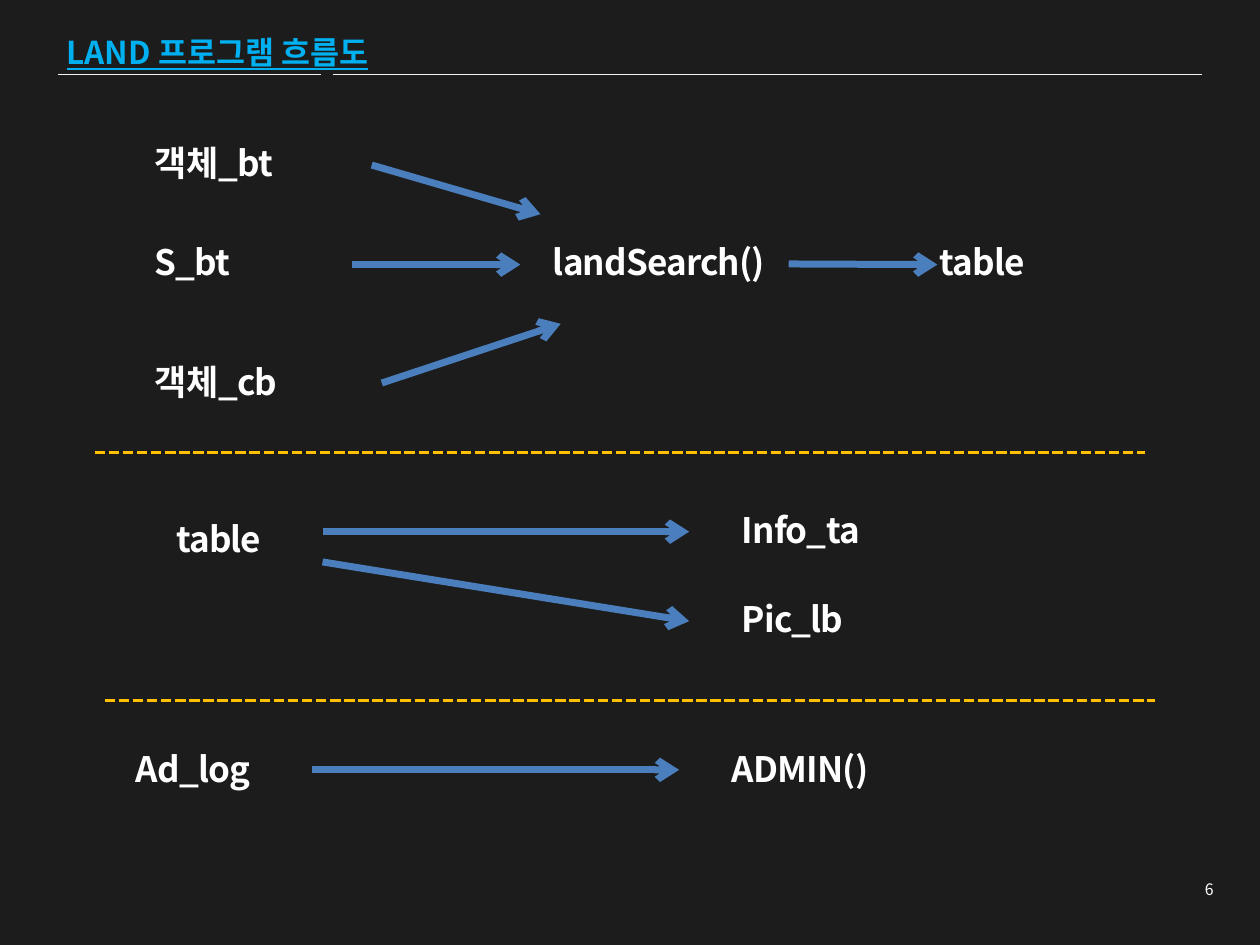
"""Build the LAND program flow slide."""
from lxml.etree import SubElement
from pptx import Presentation
from pptx.dml.color import RGBColor
from pptx.enum.dml import MSO_LINE
from pptx.enum.shapes import MSO_CONNECTOR
from pptx.enum.text import MSO_ANCHOR, MSO_AUTO_SIZE, PP_ALIGN
from pptx.oxml.ns import qn
from pptx.util import Inches, Pt

FACE = "Noto Sans CJK KR"
HUES = {"back": "1C1C1C", "text": "FFFFFF", "title": "00B0F0",
        "rule": "F2F2F2", "arrow": "4B7EBC", "dash": "FFC000"}

deck = Presentation()
deck.slide_width, deck.slide_height = Inches(10), Inches(7.5)
col, row = deck.slide_width / 100, deck.slide_height / 75
slide = deck.slides.add_slide(deck.slide_layouts[5])
slide.background.fill.solid()
slide.background.fill.fore_color.rgb = RGBColor.from_string(HUES["back"])


def write(box, text, hue, font, frame, align=PP_ALIGN.LEFT, gap=0):
    for key, val in frame.items():
        setattr(box.text_frame, key, val)
    par = box.text_frame.paragraphs[0]
    par.alignment = align
    run = par.add_run()
    run.text = text
    for key, val in font.items():
        setattr(run.font, key, val)
    run.font.color.rgb = RGBColor.from_string(HUES[hue])
    props = run._r.get_or_add_rPr()
    props.set("spc", str(gap))
    SubElement(props, qn("a:ea"), typeface=FACE)


def draw(x1, y1, x2, y2, hue, width):
    ends = [round(n) for n in (x1 * col, y1 * row, x2 * col, y2 * row)]
    link = slide.shapes.add_connector(MSO_CONNECTOR.STRAIGHT, *ends)
    link.line.color.rgb = RGBColor.from_string(HUES[hue])
    link.line.width = Pt(width)
    SubElement(link._element.spPr, qn("a:effectLst"))
    return link


for left, right in ((4.6, 25.5), (26.4, 95.4)):
    draw(left, 5.9, right, 5.9, "rule", 0.25)

plain = {"word_wrap": True, "auto_size": MSO_AUTO_SIZE.NONE,
         "vertical_anchor": MSO_ANCHOR.TOP}
title = slide.shapes.title
place = {"left": 4.3 * col, "top": 2.1 * row, "width": 43.3 * col, "height": 4 * row}
for key, val in place.items():
    setattr(title, key, round(val))
write(title, "LAND 프로그램 흐름도", "title",
      {"name": FACE, "size": Pt(18), "bold": True, "underline": True}, plain)

page = slide.shapes.add_textbox(*(round(n) for n in (
    94.5 * col, 69.3 * row, 2.8 * col, 2.5 * row)))
write(page, "6", "text", {"name": FACE, "size": Pt(9)},
      {**plain, "word_wrap": False}, PP_ALIGN.RIGHT)

nodes = [("객체_bt", 11.3, 10.7, 14.3), ("S_bt", 11.3, 18.6, 14.3),
         ("객체_cb", 11.3, 28.1, 14.3), ("landSearch()", 42.9, 18.6, 19.7),
         ("table", 73.6, 18.6, 19.7), ("table", 13, 40.6, 10.2),
         ("Info_ta", 57.9, 39.9, 24.4), ("Pic_lb", 57.9, 46.9, 24.4),
         ("Ad_log", 9.8, 58.8, 14.3), ("ADMIN()", 57.1, 58.8, 24.4)]
boxes = {}
for text, left, top, width in nodes:
    box = slide.shapes.add_textbox(*(round(n) for n in (
        left * col, top * row, width * col, 4.7 * row)))
    write(box, text, "text", {"name": FACE, "size": Pt(20), "bold": True},
          plain, gap=-50)
    boxes[text] = box

flows = [(29.5, 13.1, 42.9, 17, None), (27.9, 21, 41.3, 21, None),
         (30.3, 30.4, 44.5, 25.7, None), (62.6, 21, 74.4, 21, "landSearch()"),
         (25.6, 42.2, 54.7, 42.2, None), (25.6, 44.6, 54.7, 49.3, None),
         (24.8, 61.1, 53.9, 61.1, None)]
for *ends, start in flows:
    link = draw(*ends, "arrow", 4)
    SubElement(link.line._get_or_add_ln(), qn("a:tailEnd"), type="arrow")
    if start:
        link.begin_connect(boxes[start], 3)

for left, top in ((7.5, 35.9), (8.3, 55.6)):
    draw(left, top, left + 83.4, top, "dash", 2).line.dash_style = MSO_LINE.SQUARE_DOT

deck.save("out.pptx")
